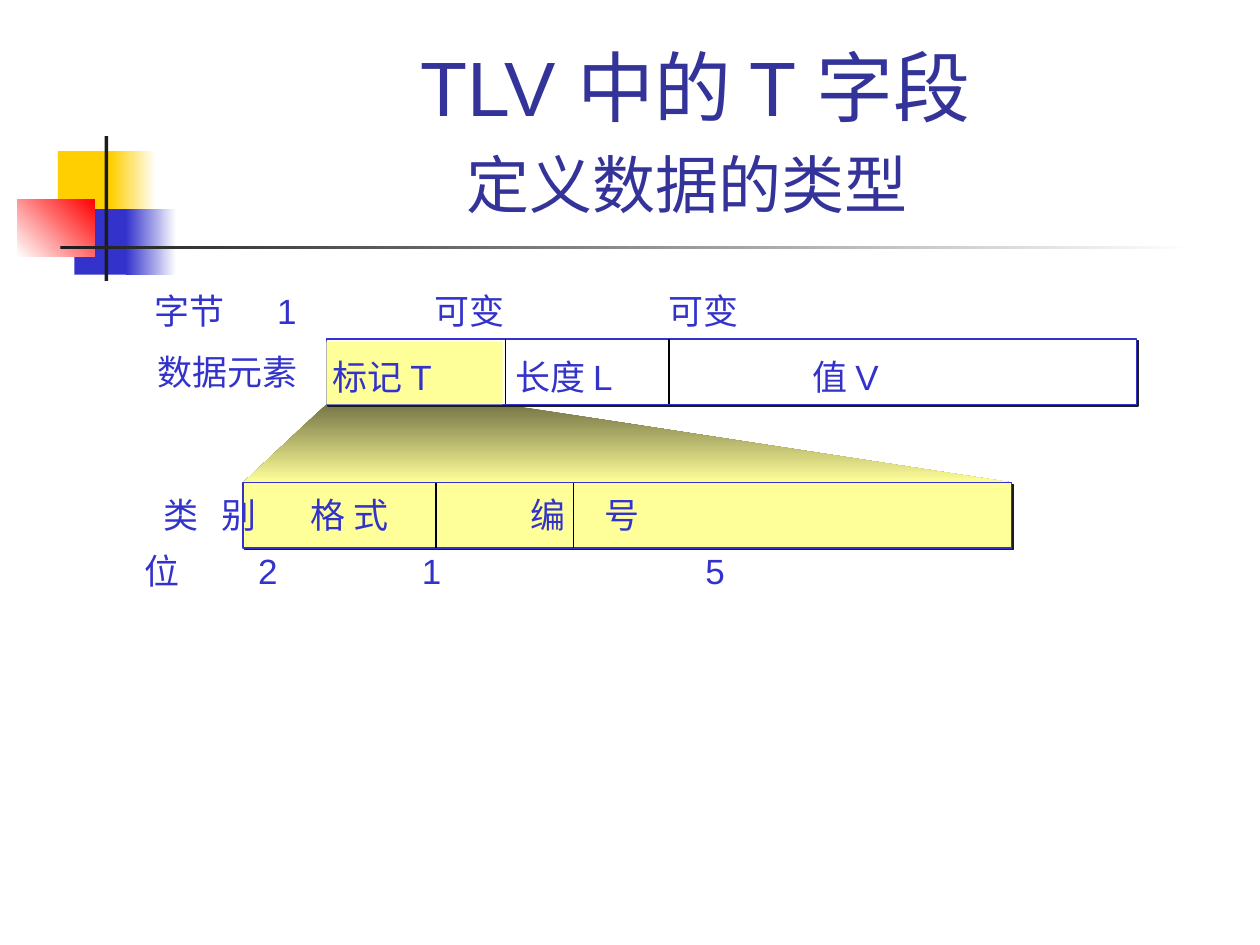
from lxml import etree
from pptx import Presentation
from pptx.dml.color import RGBColor
from pptx.enum.shapes import MSO_CONNECTOR, MSO_SHAPE
from pptx.enum.text import MSO_ANCHOR, MSO_AUTO_SIZE, PP_ALIGN
from pptx.oxml.ns import qn
from pptx.util import Inches, Pt

RECTANGLE = MSO_SHAPE.RECTANGLE
STRAIGHT = MSO_CONNECTOR.STRAIGHT
BOTTOM = MSO_ANCHOR.BOTTOM
NO_FIT = MSO_AUTO_SIZE.NONE
CENTER = PP_ALIGN.CENTER

WHITE = RGBColor(0xFF, 0xFF, 0xFF)
BLACK = RGBColor(0x00, 0x00, 0x00)
INK = RGBColor(0x1C, 0x1C, 0x1C)
GOLD = RGBColor(0xFF, 0xCF, 0x01)
RED = RGBColor(0xFF, 0x00, 0x00)
BLUE = RGBColor(0x33, 0x33, 0xCC)
NAVY = RGBColor(0x33, 0x33, 0x99)
YELLOW = RGBColor(0xFF, 0xFF, 0x99)
OLIVE = RGBColor(0x76, 0x76, 0x47)

FONT = "Arial"
FIELD_HEIGHT = 0.52
ELEMENT_LEFT, ELEMENT_TOP = 2.59, 2.69
TAG_LEFT, TAG_TOP, TAG_WIDTH = 1.93, 3.83, 6.1


def paint(shape, color, end_color=None, angle=0):
    """Fill a shape with one colour, or with a gradient to a second one."""
    shape.shadow.inherit = False
    shape.line.fill.background()
    if end_color is None:
        shape.fill.solid()
        shape.fill.fore_color.rgb = color
        return
    shape.fill.gradient()
    shape.fill.gradient_angle = angle
    for stop, stop_color in zip(shape.fill.gradient_stops, (color, end_color)):
        stop.color.rgb = stop_color


def add_block(slide, left, top, width, height, color, end_color=None, angle=0):
    """Add a borderless rectangle."""
    block = slide.shapes.add_shape(
        RECTANGLE, Inches(left), Inches(top), Inches(width), Inches(height))
    paint(block, color, end_color, angle)
    return block


def add_record(slide, left, top, width, color):
    """Add an outlined record bar with a hard offset shadow."""
    bar = add_block(slide, left, top, width, FIELD_HEIGHT, color)
    bar.line.color.rgb = BLUE
    bar.line.width = Pt(0.75)
    effects = bar._element.spPr.find(qn("a:effectLst"))
    shadow = etree.SubElement(
        effects, qn("a:outerShdw"), blurRad="0", dist=str(Pt(1.4)),
        dir="2700000", algn="ctr", rotWithShape="0")
    etree.SubElement(shadow, qn("a:srgbClr"), val=str(INK))


def add_divider(slide, x, top):
    """Add a vertical line between two fields of a record."""
    line = slide.shapes.add_connector(
        STRAIGHT, Inches(x), Inches(top), Inches(x), Inches(top + FIELD_HEIGHT))
    line.line.color.rgb = BLACK
    line.line.width = Pt(0.75)
    etree.SubElement(line._element.spPr, qn("a:effectLst"))


def add_span(para, text, size, color):
    """Add one formatted run to a paragraph."""
    span = para.add_run()
    span.text = text
    span.font.name = FONT
    span.font.size = Pt(size)
    span.font.color.rgb = color


def add_labels(slide, left, top, width, labels, stops=()):
    """Add a line of labels, each after the first at its own tab stop."""
    box = slide.shapes.add_textbox(
        Inches(left), Inches(top), Inches(width), Inches(0.44))
    box.text_frame.word_wrap = True
    para = box.text_frame.paragraphs[0]
    if stops:
        tabs = etree.SubElement(para._p.get_or_add_pPr(), qn("a:tabLst"))
        for stop in stops:
            etree.SubElement(tabs, qn("a:tab"), pos=str(Inches(stop)), algn="l")
    for index, label in enumerate(labels):
        add_span(para, "\t" + label if index else label, 20, BLUE)


def add_decoration(slide):
    """Add the coloured squares and the crossing bars beside the title."""
    add_block(slide, 0.46, 1.2, 0.48, 0.52, GOLD)
    add_block(slide, 0.88, 1.2, 0.36, 0.52, GOLD, WHITE)
    add_block(slide, 0.59, 1.66, 0.46, 0.52, BLUE)
    add_block(slide, 1, 1.66, 0.4, 0.52, BLUE, WHITE)
    add_block(slide, 0.14, 1.58, 0.61, 0.46, WHITE, RED, 45)
    add_block(slide, 0.83, 1.08, 0.03, 1.15, INK)
    add_block(slide, 0.48, 1.95, 9, 0.03, INK, WHITE)


def fill_title(slide):
    """Place the title and write its two lines."""
    title = slide.shapes.title
    title.left, title.top = Inches(1.26), Inches(0.23)
    title.width, title.height = Inches(8.52), Inches(1.6)
    frame = title.text_frame
    frame.auto_size = NO_FIT
    frame.vertical_anchor = BOTTOM
    para = frame.paragraphs[0]
    para.alignment = CENTER
    add_span(para, "TLV 中的 T 字段", 44, NAVY)
    para.add_line_break()
    add_span(para, "定义数据的类型", 36, NAVY)
    add_span(para, " ", 44, NAVY)


def add_expansion(slide):
    """Add the shaded wedge that opens the tag field into its parts."""
    top = ELEMENT_TOP + FIELD_HEIGHT
    corners = [(ELEMENT_LEFT, top), (4, top),
               (TAG_LEFT + TAG_WIDTH, TAG_TOP)]
    builder = slide.shapes.build_freeform(Inches(TAG_LEFT), Inches(TAG_TOP))
    builder.add_line_segments([(Inches(x), Inches(y)) for x, y in corners])
    paint(builder.convert_to_shape(), OLIVE, YELLOW, 270)


def add_data_element(slide):
    """Add the tag, length and value record with its captions."""
    add_labels(slide, 1.13, 2.25, 6.92, ["字节", "1", "可变", "可变"],
               [0.97, 2.22, 4.08])
    add_record(slide, ELEMENT_LEFT, ELEMENT_TOP, 6.43, WHITE)
    add_divider(slide, 4.01, ELEMENT_TOP)
    add_block(slide, ELEMENT_LEFT, 2.71, 1.4, 0.5, YELLOW)
    add_divider(slide, 5.31, ELEMENT_TOP)
    add_labels(slide, 2.54, 2.77, 4.86, ["标记 T", "长度 L", "值 V"],
               [1.45, 3.81])
    add_labels(slide, 1.15, 2.73, 1.96, ["数据元素"])


def add_tag_parts(slide):
    """Add the record of the tag's parts with its bit counts."""
    add_record(slide, TAG_LEFT, TAG_TOP, TAG_WIDTH, YELLOW)
    add_labels(slide, 1.2, 3.87, 6.6, ["类", "别", "格 式", "编", "号"],
               [0.46, 1.17, 2.91, 3.5])
    for x in (3.46, 4.55):
        add_divider(slide, x, TAG_TOP)
    add_labels(slide, 1.05, 4.31, 5.51, ["位", "2", "1", "5"],
               [0.9, 2.2, 4.45])


def main():
    """Build the slide and save the deck."""
    deck = Presentation()
    deck.slide_width, deck.slide_height = Inches(10), Inches(7.5)
    page = deck.slides.add_slide(deck.slide_layouts[5])
    add_decoration(page)
    fill_title(page)
    add_expansion(page)
    add_data_element(page)
    add_tag_parts(page)
    deck.save("out.pptx")


if __name__ == "__main__":
    main()
